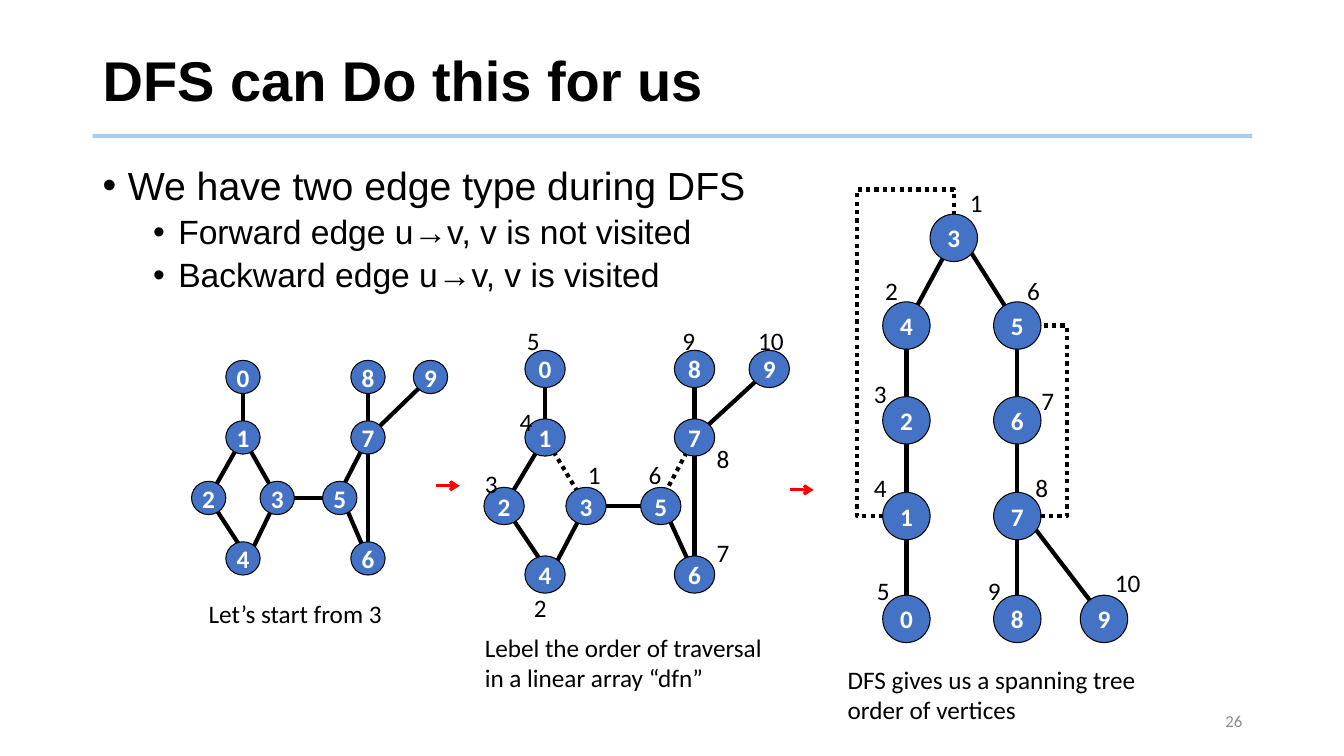
import pptx
import pptx.dml.color
import pptx.enum.dml
import pptx.enum.shapes
import pptx.enum.text
import pptx.oxml.ns
import pptx.util
from lxml import etree

RGBColor = pptx.dml.color.RGBColor
ALIGN = pptx.enum.text.PP_ALIGN
ANCHOR = pptx.enum.text.MSO_ANCHOR
SHAPE = pptx.enum.shapes.MSO_SHAPE
qn = pptx.oxml.ns.qn

BLACK = RGBColor(0x00, 0x00, 0x00)
WHITE = RGBColor(0xFF, 0xFF, 0xFF)
GRAY = RGBColor(0x8C, 0x8C, 0x8C)
RED = RGBColor(0xFF, 0x00, 0x00)
NODE_BLUE = RGBColor(0x44, 0x72, 0xC4)
RULE_BLUE = RGBColor(0x5B, 0x9B, 0xD5)

PX = 9144  # 100 px to the inch

# Graph vertices: column position on a 220-wide span, row 0 to 3
GRAPH_SPAN = 220
GRAPH_ROWS = 3
GRAPH_PLACES = {
    0: (34, 0), 1: (34, 1), 2: (0, 2), 3: (68, 2), 4: (34, 3),
    5: (130, 2), 7: (158, 1), 6: (158, 3), 8: (158, 0), 9: (220, 0),
}
GRAPH_EDGES = [(7, 6), (5, 3), (0, 1), (1, 2), (1, 3), (2, 4), (6, 5),
               (8, 7), (9, 7), (3, 4), (7, 5)]
BACKWARD_EDGES = [(1, 3), (7, 5)]
SLANT_SHIFTS = {4: (5, 0), 5: (0, -5)}  # where slanted edges meet a vertex

# Spanning tree vertices relative to the first vertex centre
TREE_PLACES = {
    3: (47, 0), 4: (0, 87), 5: (110, 87), 2: (0, 181), 6: (110, 181),
    1: (0, 276), 7: (110, 276), 0: (0, 378), 8: (110, 378), 9: (196, 378),
}
TREE_EDGES = [(7, 8), (7, 9), (1, 0), (6, 7), (2, 1), (5, 6), (4, 2),
              (3, 4), (3, 5)]

# Traversal order, and the place of each number relative to its vertex
DFS_ORDER = [3, 4, 2, 1, 0, 5, 6, 7, 8, 9]
GRAPH_LABELS = [(-8, -51), (-21, 13), (-29, -42), (-35, -36), (-28, -48),
                (-22, -51), (12, -42), (12, 1), (-22, -48), (-21, -48)]
TREE_LABELS = [(6, -55), (-31, -55), (-42, -47), (-42, -48), (-39, -48),
               (0, -55), (14, -40), (8, -48), (-39, -48), (1, -56)]


def emu(*lengths):
    return [pptx.util.Emu(round(length * PX)) for length in lengths]


def style_font(paragraph, size, color, name="Calibri", bold=False):
    font = paragraph.font
    font.size, font.name, font.bold = pptx.util.Pt(size), name, bold
    font.color.rgb = color


def add_text(shapes, box, text, size=18, color=BLACK, name="Calibri", bold=False,
             align=ALIGN.LEFT, anchor=ANCHOR.TOP, wrap=True):
    frame = shapes.add_textbox(*emu(*box)).text_frame
    frame.word_wrap, frame.vertical_anchor = wrap, anchor
    paragraph = frame.paragraphs[0]
    paragraph.text, paragraph.alignment = text, align
    style_font(paragraph, size, color, name, bold)
    return paragraph


def add_line(shapes, start, end, color=BLACK, width=3, dotted=False):
    line = shapes.add_connector(pptx.enum.shapes.MSO_CONNECTOR.STRAIGHT,
                                *emu(*start, *end))
    line.line.color.rgb, line.line.width = color, pptx.util.Pt(width)
    if dotted:
        line.line.dash_style = pptx.enum.dml.MSO_LINE.ROUND_DOT
    etree.SubElement(line._element.spPr, qn("a:effectLst"))
    return line


def add_arrow(shapes, x, y, length):
    arrow = add_line(shapes, (x, y), (x + length, y), RED, 2.25)
    etree.SubElement(arrow.line._get_or_add_ln(), qn("a:tailEnd"), type="arrow")


def add_dotted_path(shapes, points):
    builder = shapes.build_freeform(*points[0], scale=PX)
    builder.add_line_segments(points[1:], close=False)
    path = builder.convert_to_shape()
    path.shadow.inherit = False
    path.fill.background()
    path.line.color.rgb, path.line.width = BLACK, pptx.util.Pt(3)
    path.line.dash_style = pptx.enum.dml.MSO_LINE.ROUND_DOT


def add_vertices(shapes, centers, width, height):
    for vertex, (x, y) in centers.items():
        disc = shapes.add_shape(
            SHAPE.OVAL, *emu(x - width / 2, y - height / 2, width, height))
        disc.shadow.inherit = False
        disc.fill.solid()
        disc.fill.fore_color.rgb = NODE_BLUE
        disc.line.color.rgb, disc.line.width = BLACK, pptx.util.Pt(0.75)
        frame = disc.text_frame
        frame.word_wrap, frame.vertical_anchor = False, ANCHOR.MIDDLE
        paragraph = frame.paragraphs[0]
        paragraph.text, paragraph.alignment = str(vertex), ALIGN.CENTER
        style_font(paragraph, 18, WHITE, bold=True)


def add_order_labels(shapes, centers, offsets):
    for order, (vertex, (dx, dy)) in enumerate(zip(DFS_ORDER, offsets), 1):
        x, y = centers[vertex]
        width = 33 if order < 10 else 47
        add_text(shapes, (x + dx, y + dy, width, 40), str(order), wrap=False)


def add_heading(slide, left, top, width):
    rule = add_line(slide.shapes, (left, top + 107), (left + width, top + 107), RULE_BLUE)
    rule_color = rule.line._get_or_add_ln().find(".//" + qn("a:srgbClr"))
    etree.SubElement(rule_color, qn("a:alpha"), val="50000")
    title = add_text(slide.shapes, (left, top, width, 110), "DFS can Do this for us",
                     40, name="Arial", bold=True, anchor=ANCHOR.MIDDLE)
    title.line_spacing = 0.9


def add_bullets(slide, box):
    items = [("We have two edge type during DFS", 0),
             ("Forward edge u→v, v is not visited", 1),
             ("Backward edge u→v, v is visited", 1)]
    frame = slide.shapes.add_textbox(*emu(*box)).text_frame
    frame.word_wrap = True
    for index, (text, level) in enumerate(items):
        paragraph = frame.add_paragraph() if index else frame.paragraphs[0]
        paragraph.text, paragraph.level, paragraph.line_spacing = text, level, 0.9
        if index:
            paragraph.space_before = pptx.util.Pt(5)
        properties = paragraph._p.get_or_add_pPr()
        indent, hanging = emu(25 + 50 * level, -25)
        properties.set("marL", str(indent))
        properties.set("indent", str(hanging))
        etree.SubElement(properties, qn("a:buFont"), typeface="Arial")
        etree.SubElement(properties, qn("a:buChar"), char="•")
        style_font(paragraph, 24 if level else 28, BLACK, "Arial")


def add_graph(slide, box, disc_size, labelled=False):
    """The box spans the outermost vertex centres."""
    left, top, width, height = box
    shapes = slide.shapes.add_group_shape().shapes
    centers = {vertex: (left + column * width / GRAPH_SPAN, top + row * height / GRAPH_ROWS)
               for vertex, (column, row) in GRAPH_PLACES.items()}
    for edge in GRAPH_EDGES:
        ends = [centers[vertex] for vertex in edge]
        if ends[0][1] != ends[1][1]:
            shifts = [SLANT_SHIFTS.get(vertex, (0, 0)) for vertex in edge]
            ends = [(x + dx, y + dy) for (x, y), (dx, dy) in zip(ends, shifts)]
        add_line(shapes, *ends, dotted=labelled and edge in BACKWARD_EDGES)
    add_vertices(shapes, centers, *disc_size)
    if labelled:
        add_order_labels(shapes, centers, GRAPH_LABELS)


def add_spanning_tree(slide, left, top, disc):
    shapes = slide.shapes.add_group_shape().shapes
    centers = {vertex: (left + x, top + y) for vertex, (x, y) in TREE_PLACES.items()}
    # Forward edges; those leaning right start a little to the right
    for parent, child in TREE_EDGES:
        (x, y), end = centers[parent], centers[child]
        add_line(shapes, (x + 8 if end[0] > x else x, y), end)
    add_vertices(shapes, centers, disc, disc)
    add_order_labels(shapes, centers, TREE_LABELS)
    # Backward edges 1 to 3 and 7 to 5
    radius, reach = disc / 2, disc / 2 + 25
    (x1, y1), (x3, y3) = centers[1], centers[3]
    add_dotted_path(shapes, [(x1 - radius, y1), (x1 - reach, y1), (x1 - reach, y3 - reach),
                             (x3, y3 - reach), (x3, y3 - radius)])
    (x7, y7), (x5, y5) = centers[7], centers[5]
    add_dotted_path(shapes, [(x7 + radius, y7), (x7 + reach, y7),
                             (x5 + reach, y5), (x5 + radius, y5)])


def main():
    deck = pptx.Presentation()
    deck.slide_width, deck.slide_height = emu(1333, 750)
    slide = deck.slides.add_slide(deck.slide_layouts[6])
    shapes = slide.shapes

    # Heading, bullets and page number
    add_heading(slide, 92, 28, 1150)
    add_bullets(slide, (92, 160, 1150, 515))
    add_text(shapes, (942, 695, 300, 40), "26", 12, GRAY,
             align=ALIGN.RIGHT, anchor=ANCHOR.MIDDLE)

    # Start graph
    add_graph(slide, (207, 374, 220, 180), (34, 33))
    add_text(shapes, (197, 589, 194, 40), "Let’s start from 3", wrap=False)
    add_arrow(shapes, 432, 482, 24)

    # Graph with traversal order
    add_graph(slide, (500, 366, 263, 204), (40, 37), labelled=True)
    add_text(shapes, (471, 622, 313, 71),
             "Lebel the order of traversal in a linear array “dfn”")
    add_arrow(shapes, 784, 486, 23)

    # Spanning tree
    add_spanning_tree(slide, 899, 236, 47)
    add_text(shapes, (831, 654, 313, 71), "DFS gives us a spanning tree order of vertices")

    deck.save("out.pptx")


if __name__ == "__main__":
    main()
